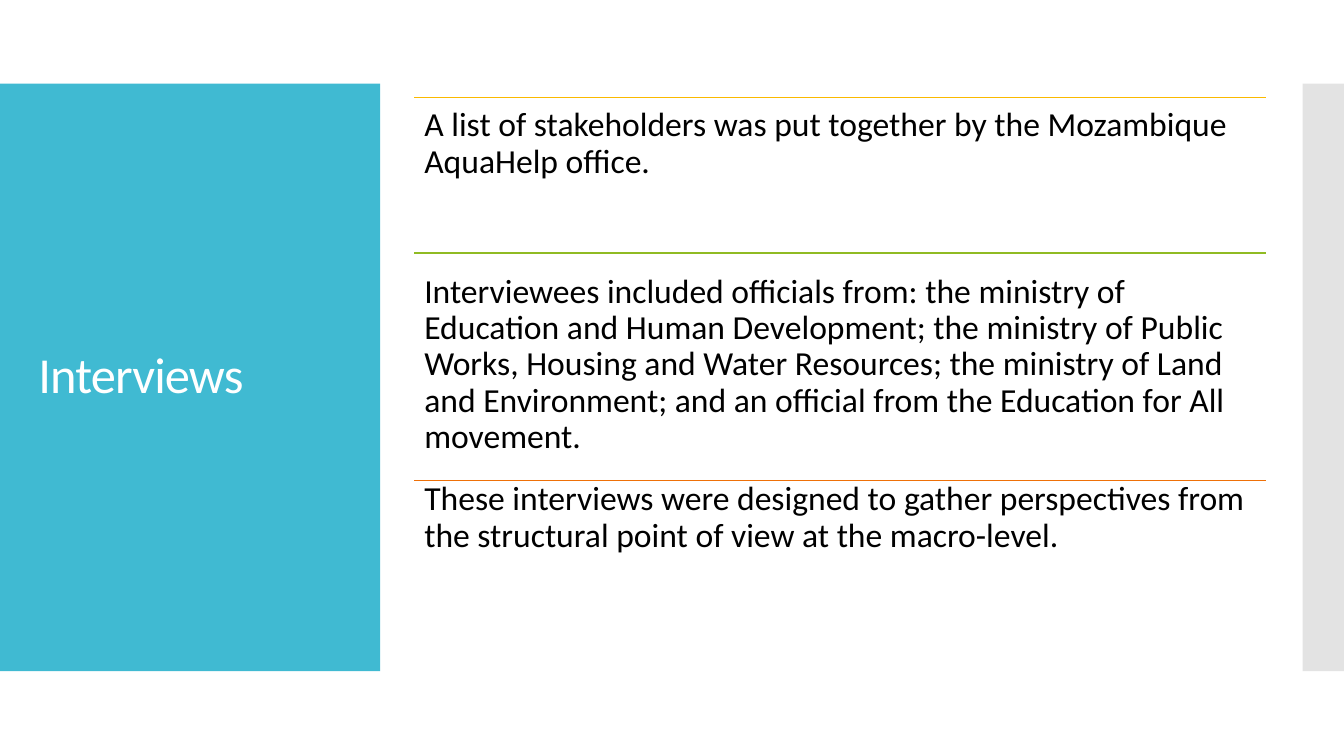
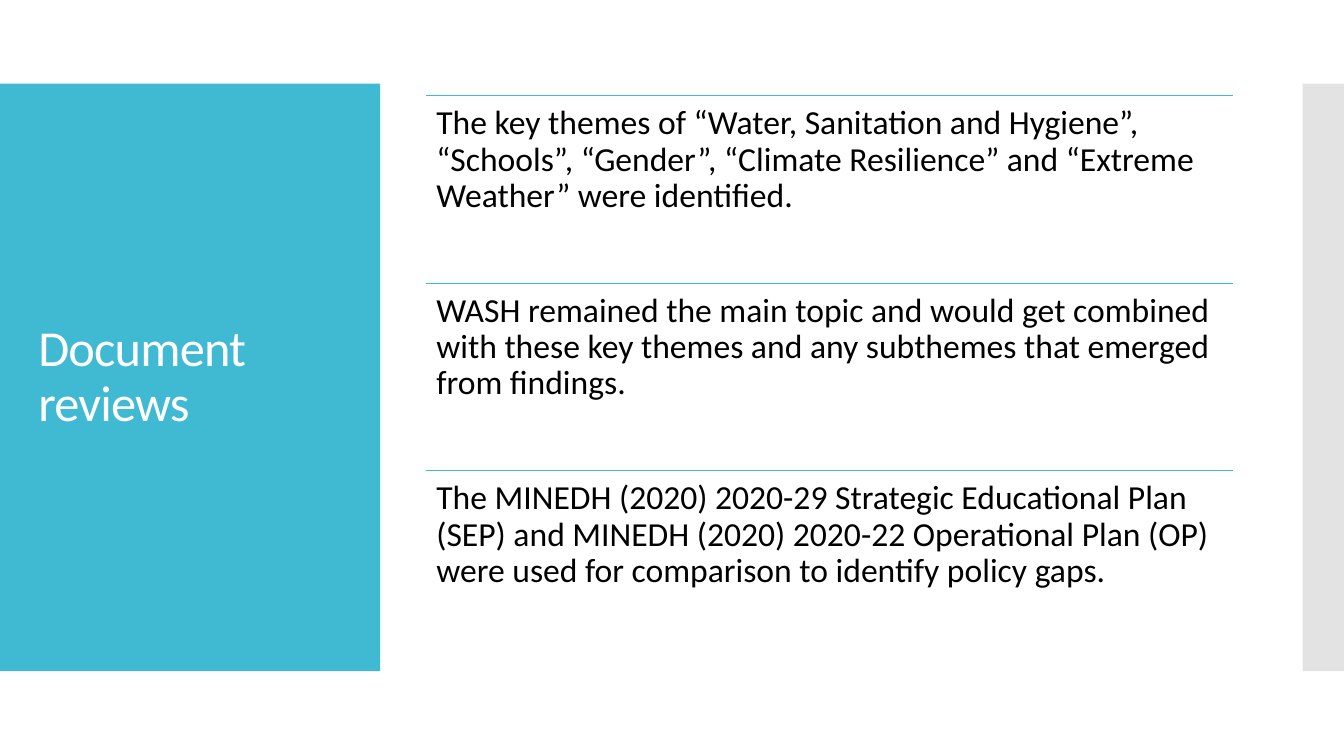
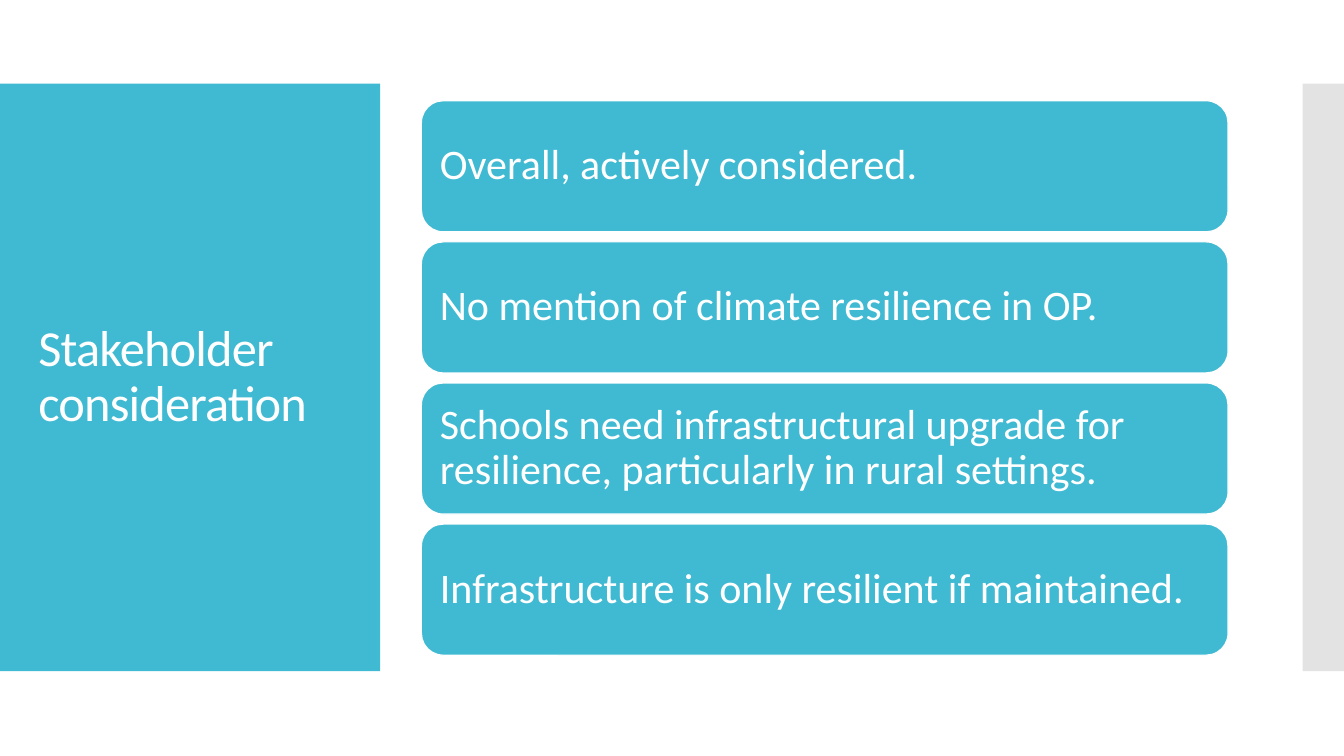
import pptx
import pptx.dml.color
import pptx.enum.shapes
import pptx.enum.text
import pptx.oxml.ns
import pptx.util
from lxml import etree

EMU_PER_PX = 9144  # 100 px to the inch
FONT = "Calibri"
LINE_WIDTH = 0.85
COLORS = {
    "teal": "40BAD2",
    "gray": "C8C8C8",
    "yellow": "FAB900",
    "green": "90BB23",
    "orange": "EE7008",
    "white": "FFFFFF",
    "black": "000000",
}


def px(length):
    return pptx.util.Emu(length * EMU_PER_PX)


def color(name):
    return pptx.dml.color.RGBColor.from_string(COLORS[name])


class Deck:
    """Holds the shared style and the slide being built."""

    def __init__(self):
        self.presentation = pptx.Presentation()
        self.presentation.slide_width = px(1333)
        self.presentation.slide_height = px(750)
        self.slide = None

    def add_slide(self, title):
        layout = self.presentation.slide_layouts.get_by_name("Title Only")
        self.slide = self.presentation.slides.add_slide(layout)
        # Bands lie behind the title
        panel = self.box(0, 83, 377, 583, "teal")
        edge = self.box(1292, 83, 41, 583, "gray", opacity=50)
        for band in (panel, edge):
            self.slide.shapes.title.element.addprevious(band.element)
        self.title(title)

    def title(self, text):
        shape = self.slide.shapes.title
        shape.left, shape.top, shape.width, shape.height = map(px, (28, 123, 322, 503))
        paragraph = self.set_text(shape, text, 36, "white", margin=10, middle=True)
        paragraph._p.pPr.find(pptx.oxml.ns.qn("a:defRPr")).set("spc", "-60")

    def set_text(self, shape, text, size, text_color, margin, middle=False):
        frame = shape.text_frame
        frame.text = text
        frame.word_wrap = True
        frame.auto_size = pptx.enum.text.MSO_AUTO_SIZE.NONE
        anchors = pptx.enum.text.MSO_ANCHOR
        frame.vertical_anchor = anchors.MIDDLE if middle else anchors.TOP
        frame.margin_left = frame.margin_right = px(margin)
        frame.margin_top = frame.margin_bottom = px(margin)
        paragraph = frame.paragraphs[0]
        paragraph.alignment = pptx.enum.text.PP_ALIGN.LEFT
        paragraph.line_spacing = 0.9
        paragraph.font.name = FONT
        paragraph.font.size = pptx.util.Pt(size)
        paragraph.font.color.rgb = color(text_color)
        return paragraph

    def box(self, left, top, width, height, fill, outline=None, rounded=False, opacity=100):
        kinds = pptx.enum.shapes.MSO_SHAPE
        kind = kinds.ROUNDED_RECTANGLE if rounded else kinds.RECTANGLE
        shape = self.slide.shapes.add_shape(kind, *map(px, (left, top, width, height)))
        shape.shadow.inherit = False
        shape.fill.solid()
        shape.fill.fore_color.rgb = color(fill)
        if opacity < 100:
            fill_color = shape.element.spPr.find(".//" + pptx.oxml.ns.qn("a:srgbClr"))
            alpha = etree.SubElement(fill_color, pptx.oxml.ns.qn("a:alpha"))
            alpha.set("val", str(opacity * 1000))
        if outline:
            shape.line.color.rgb = color(outline)
            shape.line.width = pptx.util.Pt(LINE_WIDTH)
        else:
            shape.line.fill.background()
        return shape

    def rule(self, left, top, width, line_color):
        line = self.slide.shapes.add_connector(
            pptx.enum.shapes.MSO_CONNECTOR.STRAIGHT,
            px(left), px(top), px(left + width), px(top))
        line.line.color.rgb = color(line_color)
        line.line.width = pptx.util.Pt(LINE_WIDTH)
        etree.SubElement(line.element.spPr, pptx.oxml.ns.qn("a:effectLst"))

    def ruled_text(self, left, rule_top, text_top, width, line_color, text):
        self.rule(left, rule_top, width, line_color)
        shape = self.slide.shapes.add_textbox(*map(px, (left, text_top, width, 186)))
        self.set_text(shape, text, 24, "black", margin=10)

    def card(self, left, top, width, height, text):
        shape = self.box(left, top, width, height, "teal", outline="white", rounded=True)
        self.set_text(shape, text, 30, "white", margin=12, middle=True)


def main():
    deck = Deck()

    # Interviews: unevenly spaced rules, each with its own colour
    deck.add_slide("Interviews")
    for rule_top, text_top, line_color, text in (
        (97, 97, "yellow",
         "A list of stakeholders was put together by the Mozambique AquaHelp office."),
        (251, 262, "green",
         "Interviewees included officials from: the ministry of Education and Human "
         "Development; the ministry of Public Works, Housing and Water Resources; the "
         "ministry of Land and Environment; and an official from the Education for All "
         "movement."),
        (477, 468, "orange",
         "These interviews were designed to gather perspectives from the structural "
         "point of view at the macro-level."),
    ):
        deck.ruled_text(411, rule_top, text_top, 845, line_color, text)

    # Document reviews: equal rows
    deck.add_slide("Document reviews")
    for row, text in enumerate((
        "The key themes of “Water, Sanitation and Hygiene”, “Schools”, “Gender”, "
        "“Climate Resilience” and “Extreme Weather” were identified.",
        "WASH remained the main topic and would get combined with these key themes "
        "and any subthemes that emerged from findings.",
        "The MINEDH (2020) 2020-29 Strategic Educational Plan (SEP) and MINEDH (2020) "
        "2020-22 Operational Plan (OP) were used for comparison to identify policy gaps.",
    )):
        top = 95 + 186 * row
        deck.ruled_text(423, top, top, 800, "teal", text)

    # Stakeholder consideration: stacked cards
    deck.add_slide("Stakeholder consideration")
    for row, text in enumerate((
        "Overall, actively considered.",
        "No mention of climate resilience in OP.",
        "Schools need infrastructural upgrade for resilience, particularly in rural settings.",
        "Infrastructure is only resilient if maintained.",
    )):
        deck.card(418, 100 + 140 * row, 800, 130, text)

    deck.presentation.save("out.pptx")


if __name__ == "__main__":
    main()
